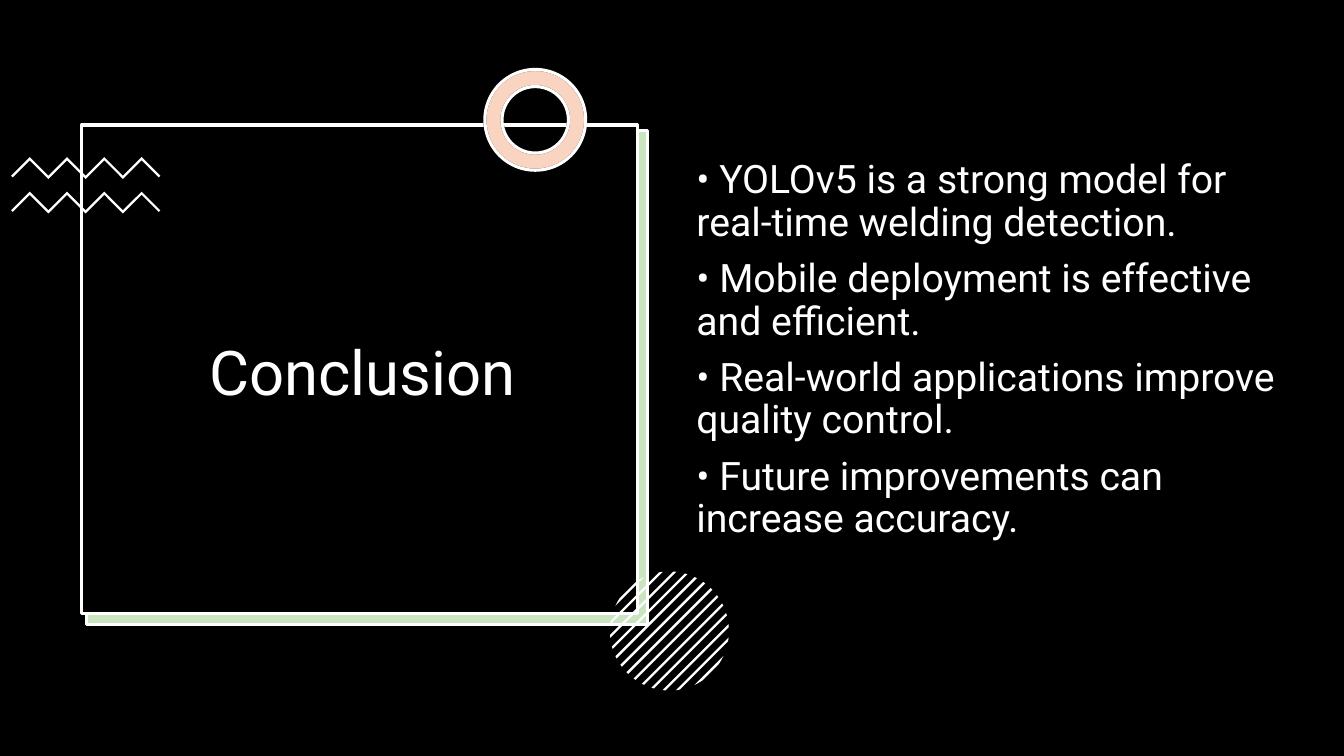
import dataclasses
import math

import pptx
import pptx.dml.color
import pptx.enum.shapes
import pptx.enum.text
import pptx.oxml.ns
import pptx.util
from lxml import etree
from pptx.util import Cm

SHAPE = pptx.enum.shapes.MSO_SHAPE
ALIGN = pptx.enum.text.PP_ALIGN
ANCHOR = pptx.enum.text.MSO_ANCHOR


@dataclasses.dataclass(frozen=True)
class Theme:
    black: str = "000000"
    white: str = "FFFFFF"
    green: str = "4EA72E"
    orange: str = "E97132"
    tint_alpha: int = 30
    font: str = "Roboto"
    title_size: int = 44
    body_size: int = 28
    outline: float = 2.25


THEME = Theme()
POINTS = (
    "• YOLOv5 is a strong model for real-time welding detection.",
    "• Mobile deployment is effective and efficient.",
    "• Real-world applications improve quality control.",
    "• Future improvements can increase accuracy.",
)


def rgb(color):
    return pptx.dml.color.RGBColor.from_string(color)


def paint(shape, fill, line=None, alpha=None):
    """Set fill, optional outline and optional fill opacity in percent."""
    shape.shadow.inherit = False
    shape.fill.solid()
    shape.fill.fore_color.rgb = rgb(fill)
    if alpha is not None:
        color = shape.fill._xPr.find(".//" + pptx.oxml.ns.qn("a:srgbClr"))
        etree.SubElement(color, pptx.oxml.ns.qn("a:alpha"), val=str(alpha * 1000))
    if line:
        shape.line.color.rgb = rgb(line)
        shape.line.width = pptx.util.Pt(THEME.outline)
    else:
        shape.line.fill.background()


def add_preset(page, kind, box, fill, line=None, alpha=None):
    shape = page.shapes.add_shape(kind, *map(Cm, box))
    paint(shape, fill, line, alpha)
    return shape


def add_ring(page, fill, alpha=None, line=THEME.white):
    ring = add_preset(page, SHAPE.DONUT, (12.22, 1.75, 2.54, 2.54), fill, line, alpha)
    ring.adjustments[0] = 0.17


def add_outline(group, points):
    """Add a closed white polygon through points given in centimetres."""
    corners = [(Cm(x), Cm(y)) for x, y in points]
    builder = group.shapes.build_freeform(*corners[0], scale=1.0)
    builder.add_line_segments(corners[1:], close=True)
    paint(builder.convert_to_shape(), THEME.white)


def add_zigzags(page, left=0.28, tops=(3.96, 4.83), step=0.47, thickness=0.08):
    group = page.shapes.add_group_shape()
    for top in tops:
        upper = [(left + i * step, top + step * (1 - i % 2)) for i in range(9)]
        lower = [(x, y + thickness) for x, y in upper[1:-1]]
        inset = thickness / 2
        (first_x, end_y), (last_x, _) = upper[0], upper[-1]
        ends = [(first_x + inset, end_y + inset), (last_x - inset, end_y + inset)]
        add_outline(group, upper + [ends[1]] + lower[::-1] + [ends[0]])


def add_striped_circle(page, center=(16.87, 15.9), radius=1.5, pitch=0.24, half_width=0.03):
    """Cut evenly spaced rising diagonal stripes to a circle."""
    group = page.shapes.add_group_shape()
    for i in range(-6, 7):
        near = max(i * pitch - half_width, -radius)
        far = min(i * pitch + half_width, radius)
        offsets = [near + (far - near) * k / 4 for k in range(5)]
        ends = [(d, math.sqrt(max(radius**2 - d**2, 0))) for d in offsets]
        rim = ends + [(d, -chord) for d, chord in reversed(ends)]
        add_outline(group, [(center[0] + (d + along) / math.sqrt(2),
                             center[1] + (d - along) / math.sqrt(2)) for d, along in rim])


def add_text(page, box, lines, size, align, anchor, space_before=0):
    frame = page.shapes.add_textbox(*map(Cm, box)).text_frame
    frame.word_wrap = True
    frame.vertical_anchor = anchor
    frame.text = "\n".join(lines)
    for para in frame.paragraphs:
        para.alignment = align
        para.line_spacing = 0.9
        para.space_before = pptx.util.Pt(space_before)
        para.font.name = THEME.font
        para.font.size = pptx.util.Pt(size)
        para.font.color.rgb = rgb(THEME.white)


def main():
    deck = pptx.Presentation()
    deck.slide_width, deck.slide_height = Cm(33.87), Cm(19.05)
    page = deck.slides.add_slide(deck.slide_layouts[6])

    add_preset(page, SHAPE.RECTANGLE, (0, 0, 33.87, 19.05), THEME.black)
    add_preset(page, SHAPE.RECTANGLE, (2.16, 3.3, 14.15, 12.45), THEME.white)
    add_preset(page, SHAPE.RECTANGLE, (2.18, 3.28, 14.15, 12.45),
               THEME.green, THEME.white, THEME.tint_alpha)
    add_preset(page, SHAPE.RECTANGLE, (2.06, 3.15, 14, 12.32), THEME.black, THEME.white)
    add_zigzags(page)
    add_ring(page, THEME.white, line=THEME.black)
    add_ring(page, THEME.orange, THEME.tint_alpha)
    add_striped_circle(page)

    add_text(page, (2.34, 3.86, 13.61, 11.23), ["Conclusion"],
             THEME.title_size, ALIGN.CENTER, ANCHOR.MIDDLE)
    add_text(page, (17.3, 3.91, 15.77, 10.08), POINTS,
             THEME.body_size, ALIGN.LEFT, ANCHOR.TOP, space_before=10)
    deck.save("out.pptx")


if __name__ == "__main__":
    main()
